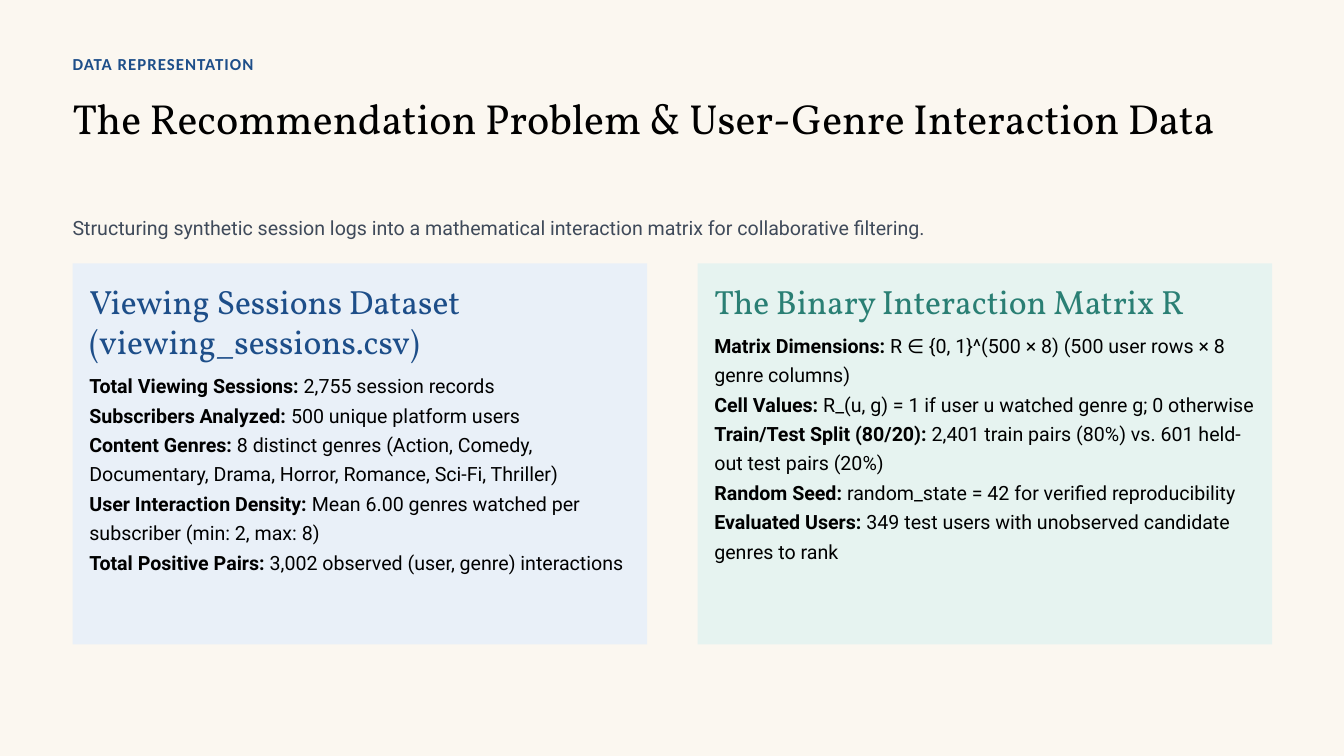
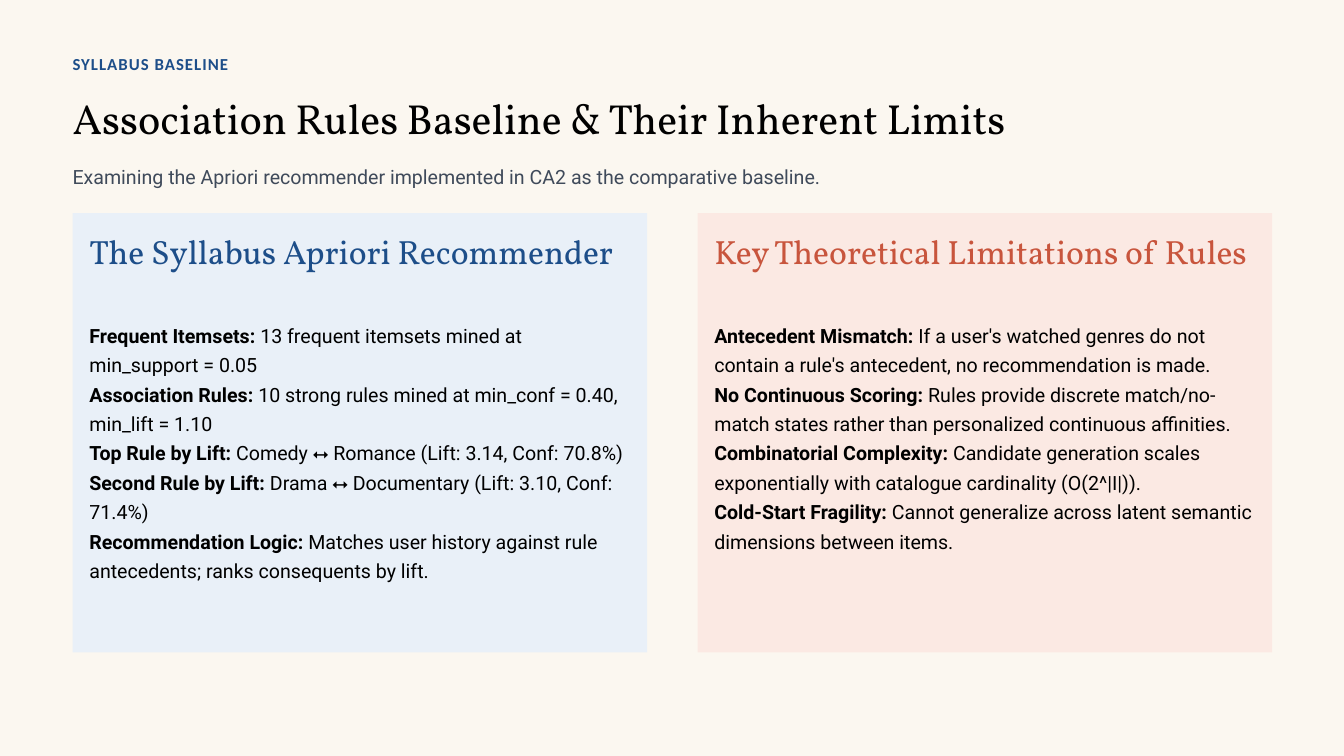
from dataclasses import dataclass

from pptx import Presentation
from pptx.dml.color import RGBColor
from pptx.enum.shapes import MSO_SHAPE
from pptx.enum.text import MSO_ANCHOR, MSO_AUTO_SIZE, PP_ALIGN
from pptx.slide import Slide
from pptx.text.text import TextFrame
from pptx.util import Inches, Pt

COLOURS = {
    "background": "FBF7F0",
    "black": "000000",
    "slate": "3F4A5A",
    "blue": "1D4E89",
    "teal": "2A7F74",
    "coral": "C8553D",
    "pale blue": "E9F0F8",
    "pale teal": "E6F3F0",
    "pale coral": "FBE9E3",
}

# Shared grid, in inches
MARGIN = 1.08
CONTENT_WIDTH = 17.85
WIDE_WIDTH = 18.85
CARD_WIDTH = 8.55
CARD_STEP = 9.3
CARD_PADDING = 0.25
SUBTITLE_TO_CARD = 0.8


@dataclass(frozen=True)
class TextStyle:
    font: str
    size: float
    line: float
    colour: str
    bold: bool = False
    tracking: float = 0


EYEBROW = TextStyle("Calibri", 18, 27, "blue", bold=True, tracking=1.1)
TITLE = TextStyle("Vollkorn", 45, 54, "black")
SUBTITLE = TextStyle("Roboto", 21, 31.5, "slate")
BODY = TextStyle("Roboto", 21, 31.5, "black")


@dataclass(frozen=True)
class Card:
    heading: str
    accent: str
    fill: str
    heading_height: float
    body_height: float
    points: list[tuple[str, str]]


@dataclass(frozen=True)
class ComparisonSlide:
    eyebrow: str
    title: str
    subtitle: str
    title_height: float
    card_height: float
    body_gap: float
    cards: list[Card]


# Slide content
SLIDES = [
    ComparisonSlide(
        "DATA REPRESENTATION",
        "The Recommendation Problem & User-Genre Interaction Data",
        "Structuring synthetic session logs into a mathematical interaction matrix "
        "for collaborative filtering.",
        title_height=1.5, card_height=5.67, body_gap=0.1,
        cards=[
            Card("Viewing Sessions Dataset (viewing_sessions.csv)", "blue", "pale blue", 1.2, 3.85, [
                ("Total Viewing Sessions:", "2,755 session records"),
                ("Subscribers Analyzed:", "500 unique platform users"),
                ("Content Genres:", "8 distinct genres (Action, Comedy, Documentary, Drama, "
                 "Horror, Romance, Sci-Fi, Thriller)"),
                ("User Interaction Density:",
                 "Mean 6.00 genres watched per subscriber (min: 2, max: 8)"),
                ("Total Positive Pairs:", "3,002 observed (user, genre) interactions"),
            ]),
            Card("The Binary Interaction Matrix R", "teal", "pale teal", 0.6, 4.29, [
                ("Matrix Dimensions:", "R ∈ {0, 1}^(500 × 8) (500 user rows × 8 genre columns)"),
                ("Cell Values:", "R_(u, g) = 1 if user u watched genre g; 0 otherwise"),
                ("Train/Test Split (80/20):",
                 "2,401 train pairs (80%) vs. 601 held-out test pairs (20%)"),
                ("Random Seed:", "random_state = 42 for verified reproducibility"),
                ("Evaluated Users:", "349 test users with unobserved candidate genres to rank"),
            ]),
        ],
    ),
    ComparisonSlide(
        "SYLLABUS BASELINE",
        "Association Rules Baseline & Their Inherent Limits",
        "Examining the Apriori recommender implemented in CA2 as the comparative baseline.",
        title_height=0.75, card_height=6.54, body_gap=0.1,
        cards=[
            Card("The Syllabus Apriori Recommender", "blue", "pale blue", 1.2, 4.72, [
                ("Frequent Itemsets:", "13 frequent itemsets mined at min_support = 0.05"),
                ("Association Rules:", "10 strong rules mined at min_conf = 0.40, min_lift = 1.10"),
                ("Top Rule by Lift:", "Comedy ⭤ Romance (Lift: 3.14, Conf: 70.8%)"),
                ("Second Rule by Lift:", "Drama ⭤ Documentary (Lift: 3.10, Conf: 71.4%)"),
                ("Recommendation Logic:",
                 "Matches user history against rule antecedents; ranks consequents by lift."),
            ]),
            Card("Key Theoretical Limitations of Rules", "coral", "pale coral", 1.2, 4.11, [
                ("Antecedent Mismatch:", "If a user's watched genres do not contain a rule's "
                 "antecedent, no recommendation is made."),
                ("No Continuous Scoring:", "Rules provide discrete match/no-match states rather "
                 "than personalized continuous affinities."),
                ("Combinatorial Complexity:", "Candidate generation scales exponentially with "
                 "catalogue cardinality (O(2^|I|))."),
                ("Cold-Start Fragility:",
                 "Cannot generalize across latent semantic dimensions between items."),
            ]),
        ],
    ),
]


def colour(name: str) -> RGBColor:
    return RGBColor.from_string(COLOURS[name])


def prepare_frame(frame: TextFrame) -> None:
    frame.word_wrap = True
    frame.auto_size = MSO_AUTO_SIZE.NONE
    frame.vertical_anchor = MSO_ANCHOR.TOP
    frame.margin_left = frame.margin_top = frame.margin_right = frame.margin_bottom = 0


def format_frame(frame: TextFrame, style: TextStyle) -> None:
    for paragraph in frame.paragraphs:
        paragraph.alignment = PP_ALIGN.LEFT
        paragraph.line_spacing = Pt(style.line)
        for run in paragraph.runs:
            run.font.name = style.font
            run.font.size = Pt(style.size)
            run.font.color.rgb = colour(style.colour)
            if style.bold:
                run.font.bold = True
            if style.tracking:
                run._r.get_or_add_rPr().set("spc", str(round(style.tracking * 100)))


def add_text(slide: Slide, text: str, style: TextStyle,
             left: float, top: float, width: float, height: float) -> None:
    box = slide.shapes.add_textbox(Inches(left), Inches(top), Inches(width), Inches(height))
    prepare_frame(box.text_frame)
    box.text_frame.text = text
    format_frame(box.text_frame, style)


def add_points(slide: Slide, points: list[tuple[str, str]],
               left: float, top: float, width: float, height: float) -> None:
    box = slide.shapes.add_textbox(Inches(left), Inches(top), Inches(width), Inches(height))
    frame = box.text_frame
    prepare_frame(frame)
    for index, (label, detail) in enumerate(points):
        paragraph = frame.add_paragraph() if index else frame.paragraphs[0]
        label_run = paragraph.add_run()
        label_run.text = f"{label} "
        label_run.font.bold = True
        paragraph.add_run().text = detail
    format_frame(frame, BODY)


def add_title(slide: Slide, text: str, height: float) -> None:
    title = slide.shapes.title
    title.left, title.top = Inches(MARGIN), Inches(1.37)
    title.width, title.height = Inches(CONTENT_WIDTH), Inches(height)
    prepare_frame(title.text_frame)
    title.text_frame.text = text
    format_frame(title.text_frame, TITLE)


def add_card(slide: Slide, card: Card, left: float, top: float,
             height: float, body_gap: float) -> None:
    panel = slide.shapes.add_shape(
        MSO_SHAPE.RECTANGLE, Inches(left), Inches(top), Inches(CARD_WIDTH), Inches(height))
    panel.shadow.inherit = False
    panel.fill.solid()
    panel.fill.fore_color.rgb = colour(card.fill)
    panel.line.fill.background()

    text_left = left + CARD_PADDING
    text_width = CARD_WIDTH - 2 * CARD_PADDING
    heading_top = top + CARD_PADDING + 0.01
    heading_style = TextStyle("Vollkorn", 36, 43.2, card.accent)
    add_text(slide, card.heading, heading_style,
             text_left, heading_top, text_width, card.heading_height)
    body_top = heading_top + card.heading_height + body_gap
    add_points(slide, card.points, text_left, body_top, text_width, card.body_height)


def add_comparison_slide(presentation: Presentation, content: ComparisonSlide) -> None:
    slide = presentation.slides.add_slide(presentation.slide_layouts.get_by_name("Title Only"))

    # Header
    add_text(slide, content.eyebrow, EYEBROW, MARGIN, 0.73, WIDE_WIDTH, 0.48)
    add_title(slide, content.title, content.title_height)
    subtitle_top = 1.62 + content.title_height
    add_text(slide, content.subtitle, SUBTITLE, MARGIN, subtitle_top, WIDE_WIDTH, 0.5)

    # Two cards side by side
    for column, card in enumerate(content.cards):
        add_card(slide, card, MARGIN + column * CARD_STEP, subtitle_top + SUBTITLE_TO_CARD,
                 content.card_height, content.body_gap)


def main() -> None:
    presentation = Presentation()
    presentation.slide_width = Inches(20)
    presentation.slide_height = Inches(11.25)
    background = presentation.slide_master.background.fill
    background.solid()
    background.fore_color.rgb = colour("background")
    for content in SLIDES:
        add_comparison_slide(presentation, content)
    presentation.save("out.pptx")


if __name__ == "__main__":
    main()
